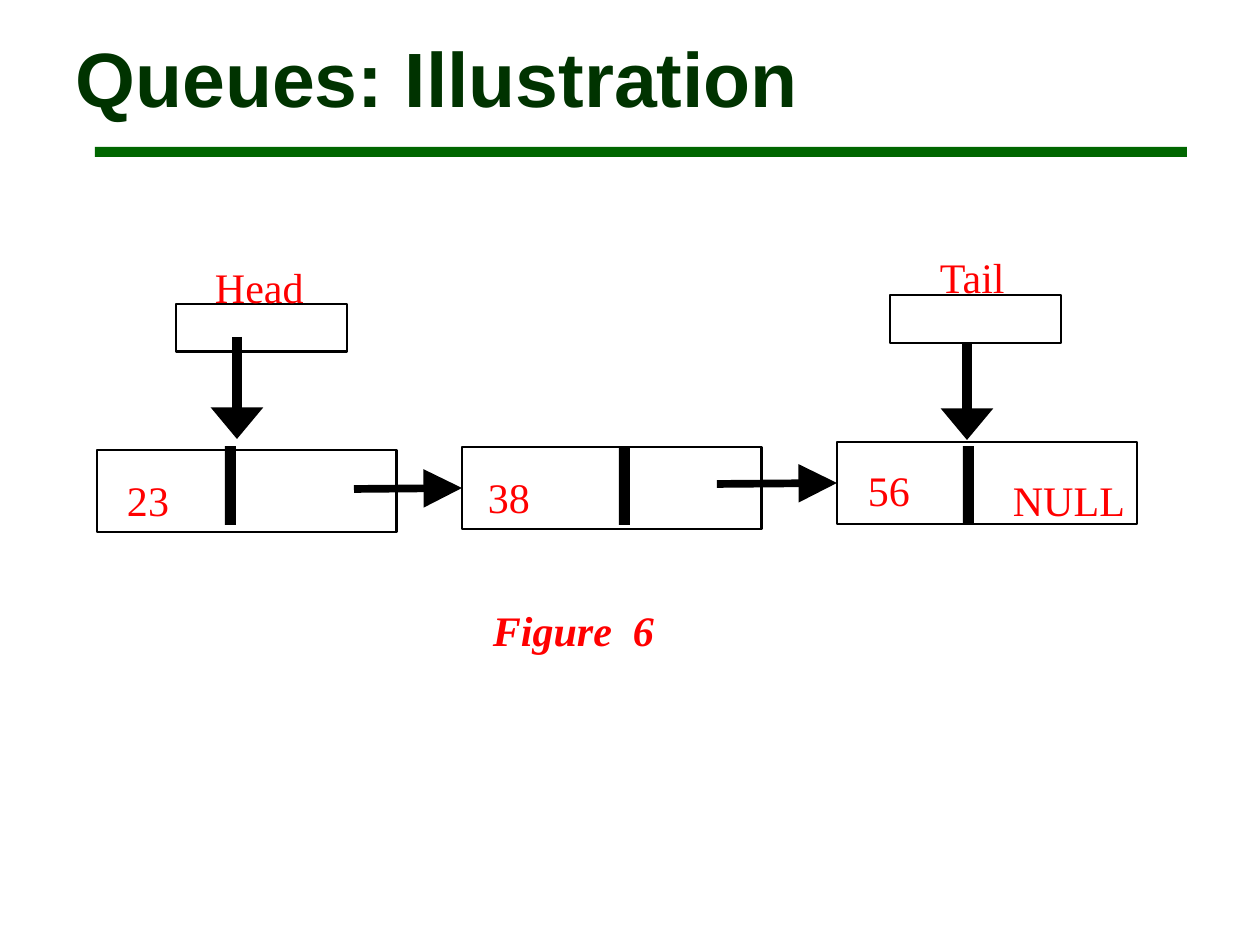
from lxml import etree
from pptx import Presentation
from pptx.dml.color import RGBColor
from pptx.enum.shapes import MSO_CONNECTOR, MSO_SHAPE
from pptx.enum.text import MSO_ANCHOR, PP_ALIGN
from pptx.oxml.ns import qn
from pptx.util import Pt

PX = 914400 // 126
RECT = MSO_SHAPE.RECTANGLE
LINE = MSO_CONNECTOR.STRAIGHT
TOP = MSO_ANCHOR.TOP
LEFT, MID = PP_ALIGN.LEFT, PP_ALIGN.CENTER
BLACK, WHITE, RED = "000000", "FFFFFF", "FF0000"
SERIF = "Times New Roman"


def px(*nums):
    return [n * PX for n in nums]


def color(code):
    return RGBColor.from_string(code)


def style(para, name, size, code, bold=False, slant=False):
    for run in para.runs:
        font = run.font
        font.name, font.size = name, Pt(size)
        font.bold, font.italic = bold, slant
        font.color.rgb = color(code)


def bar(slide, x, y, w, h, fill=BLACK):
    shape = slide.shapes.add_shape(RECT, *px(x, y, w, h))
    shape.shadow.inherit = False
    shape.fill.solid()
    shape.fill.fore_color.rgb = color(fill)
    shape.line.fill.background()
    return shape


def box(slide, x, y, w, h):
    shape = bar(slide, x, y, w, h, WHITE)
    shape.line.color.rgb = color(BLACK)
    shape.line.width = Pt(1.62)
    return shape


def label(slide, text, x, y, w, h):
    frame = slide.shapes.add_textbox(*px(x, y, w, h)).text_frame
    frame.margin_left = frame.margin_right = 0
    frame.margin_top = frame.margin_bottom = 0
    frame.text = text
    para = frame.paragraphs[0]
    para.space_after = Pt(10)
    style(para, SERIF, 24, RED)


def arrow(slide, x1, y1, x2, y2, width, length):
    link = slide.shapes.add_connector(LINE, *px(x1, y1, x2, y2))
    link.line.color.rgb = color(BLACK)
    link.line.width = Pt(width)
    tip = etree.SubElement(link.line._get_or_add_ln(), qn("a:tailEnd"))
    tip.set("type", "triangle")
    tip.set("w", "lg")
    tip.set("len", length)
    etree.SubElement(link._element.spPr, qn("a:effectLst"))
    return link


def title(slide, text):
    shape = slide.shapes.title
    shape.left, shape.top, shape.width, shape.height = px(63, 30, 1134, 157)
    frame = shape.text_frame
    frame.text = text
    frame.margin_top = 0
    frame.vertical_anchor = TOP
    para = frame.paragraphs[0]
    para.alignment = LEFT
    style(para, "Arial", 44, "003300", bold=True)


def caption(slide, text):
    frame = slide.shapes.add_textbox(*px(278, 598, 591, 86)).text_frame
    frame.word_wrap = True
    frame.text = text
    para = frame.paragraphs[0]
    para.alignment = MID
    style(para, SERIF, 24, RED, bold=True, slant=True)


def main():
    deck = Presentation()
    deck.slide_width, deck.slide_height = px(1260, 945)
    slide = deck.slides.add_slide(deck.slide_layouts[5])
    title(slide, "Queues: Illustration")
    bar(slide, 95, 147, 1092, 10, "006600")

    nodes = [box(slide, x, y, 300, 82)
             for x, y in ((97, 450), (462, 447), (837, 442))]
    for x in (225, 619, 963):
        bar(slide, x, 446, 11, 79)
    for text, x, y, w in (("23", 127, 475, 43), ("38", 488, 472, 43),
                          ("56", 868, 465, 43), ("NULL", 1013, 475, 136)):
        label(slide, text, x, y, w, 37)

    for x, y, node in ((354, 489, nodes[1]), (717, 484, nodes[2])):
        link = arrow(slide, x, y, x + 115, y, 4.4, "lg")
        link.end_connect(node, 1)

    box(slide, 176, 304, 171, 48)
    arrow(slide, 237, 337, 237, 439, 6, "med")
    arrow(slide, 967, 337, 967, 440, 6, "med")
    box(slide, 890, 295, 171, 48)
    label(slide, "Head", 215, 262, 121, 32)
    label(slide, "Tail", 940, 252, 89, 35)
    caption(slide, "Figure  6")
    deck.save("out.pptx")


if __name__ == "__main__":
    main()
